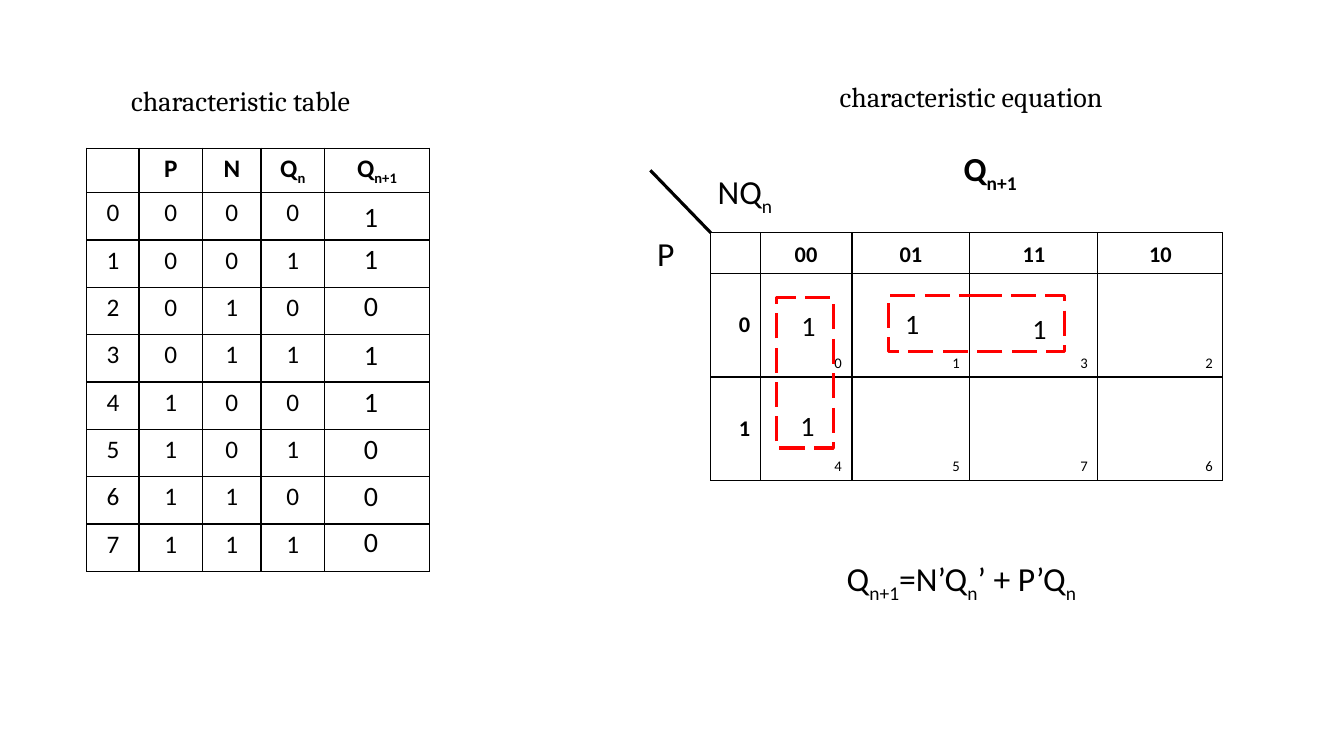
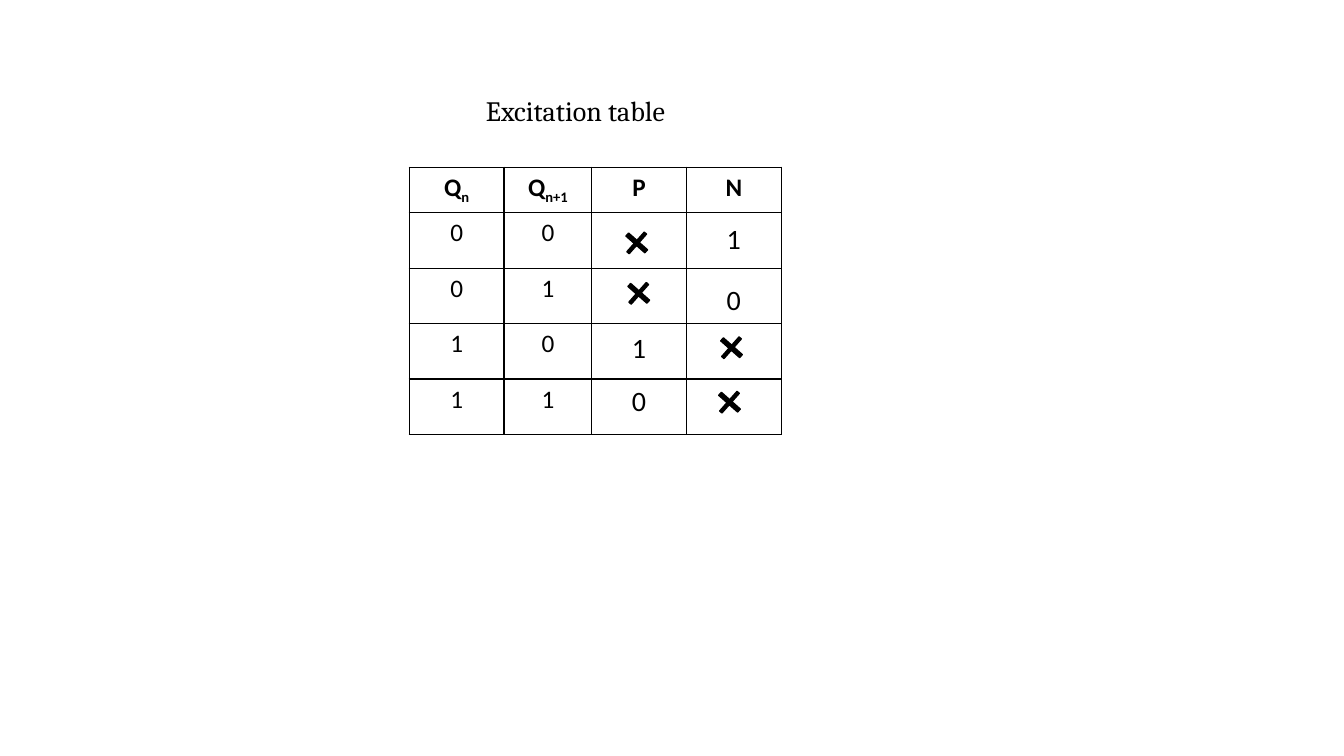
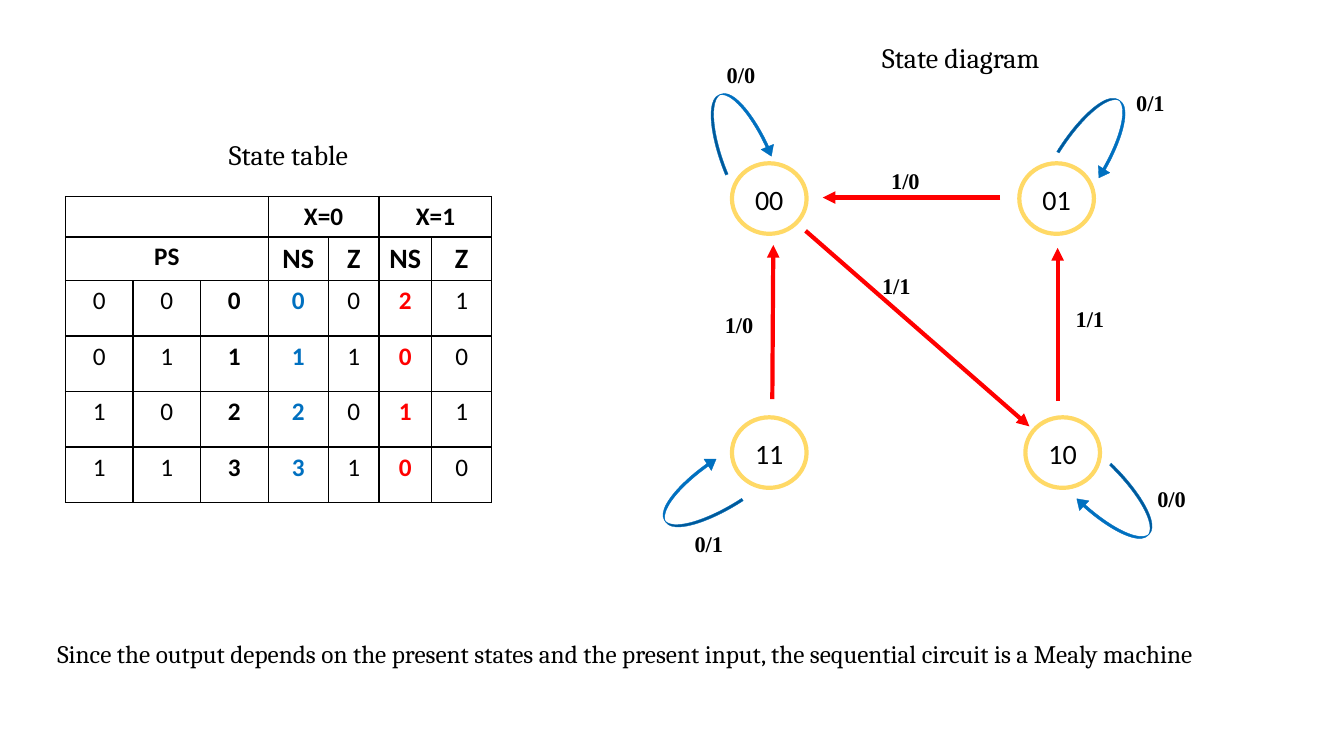
from lxml import etree
from pptx import Presentation
from pptx import util as u
from pptx.dml.color import RGBColor
from pptx.enum import dml, shapes, text
from pptx.oxml import ns

COLORS = {"ink": "000000", "red": "FF0000", "blue": "0070C0", "gold": "FFD966"}
UNIT = u.Inches(0.1)  # grid module: 75 rows, 133.33 columns
AL = text.PP_ALIGN
ANC = text.MSO_ANCHOR

FONTS = {
    "caption": {"name": "Cambria", "size": u.Pt(20), "bold": False},
    "note": {"name": "Cambria", "size": u.Pt(18), "bold": False},
    "digit": {"name": "Calibri", "size": u.Pt(20)},
    "axis": {"name": "Calibri", "size": u.Pt(24)},
    "heading": {"name": "Calibri", "size": u.Pt(24), "bold": True},
    "cell": {"name": "Calibri", "size": u.Pt(18), "bold": False},
    "cell head": {"name": "Calibri", "size": u.Pt(18), "bold": True},
    "cell subhead": {"name": "Calibri", "size": u.Pt(20), "bold": True},
    "map head": {"name": "Calibri", "size": u.Pt(16), "bold": True},
    "map index": {"name": "Calibri", "size": u.Pt(10.5), "bold": False},
    "edge": {"name": "Times New Roman", "size": u.Pt(16), "bold": True},
}
PARAGRAPHS = {
    "caption": {"alignment": AL.JUSTIFY},
    "note": {"alignment": AL.JUSTIFY},
    "edge": {"alignment": AL.JUSTIFY, "line_spacing": 1.07, "space_after": u.Pt(8)},
    "state": {"alignment": AL.CENTER, "line_spacing": 1.07, "space_after": u.Pt(8)},
}


def rgb(name):
    return RGBColor.from_string(COLORS[name])


def assign(obj, values):
    for key, value in values.items():
        setattr(obj, key, value)


def grid(*lengths):
    return [u.Emu(round(n * UNIT)) for n in lengths]


class Deck:
    def __init__(self):
        self.prs = Presentation()
        self.prs.slide_width, self.prs.slide_height = u.Inches(13.33), u.Inches(7.5)
        self.s = None

    def slide(self, title, box):
        self.s = self.prs.slides.add_slide(self.prs.slide_layouts[5])
        sp = self.s.shapes.title
        assign(sp, dict(zip(("left", "top", "width", "height"), grid(*box))))
        self.fill_frame(sp.text_frame, title, "caption")

    def add_runs(self, p, words, style, color="ink"):
        """Add runs to p; every second part between underscores is a subscript."""
        for i, part in enumerate(words.split("_")):
            if part:
                r = p.add_run()
                r.text = part
                assign(r.font, FONTS[style])
                r.font.color.rgb = rgb(color)
                if i % 2:
                    r._r.get_or_add_rPr().set("baseline", "-25000")

    def fill_frame(self, tf, words, style):
        assign(tf, {"word_wrap": True, "vertical_anchor": ANC.TOP,
                    "auto_size": text.MSO_AUTO_SIZE.SHAPE_TO_FIT_TEXT})
        p = tf.paragraphs[0]
        assign(p, PARAGRAPHS.get(style, {}))
        self.add_runs(p, words, style)

    def text(self, words, box, style="digit"):
        sp = self.s.shapes.add_textbox(*grid(*box))
        self.fill_frame(sp.text_frame, words, style)

    def shape(self, kind, box, line, width, fill=None, rotation=0, adjust=(), dash=None):
        sp = self.s.shapes.add_shape(kind, *grid(*box))
        sp.shadow.inherit = False
        sp.rotation = rotation
        for i, value in enumerate(adjust):
            sp.adjustments[i] = value
        if fill:
            sp.fill.solid()
            sp.fill.fore_color.rgb = rgb(fill)
        else:
            sp.fill.background()
        sp.line.color.rgb = rgb(line)
        assign(sp.line, {"width": u.Pt(width), "dash_style": dash})
        return sp

    def group_box(self, box, rotation):
        self.shape(shapes.MSO_SHAPE.RECTANGLE, box, "red", 2.25, rotation=rotation,
                   dash=dml.MSO_LINE.LONG_DASH)

    def cross(self, left, top):
        self.shape(shapes.MSO_SHAPE.CROSS, (left, top, 2.5, 2.6), "ink", 1, "ink", 41.5, [0.44])

    def state(self, name, left, top):
        sp = self.shape(shapes.MSO_SHAPE.OVAL, (left, top, 7.4, 7), "gold", 3)
        sp.text_frame.vertical_anchor = ANC.MIDDLE
        p = sp.text_frame.paragraphs[0]
        assign(p, PARAGRAPHS["state"])
        self.add_runs(p, name, "digit")

    def loop(self, left, top, rotation):
        self.shape(shapes.MSO_SHAPE.CURVED_DOWN_ARROW, (left, top, 5.6, 7.6), "blue", 0.25,
                   "blue", rotation, [0.05, 0.24, 0.18])

    def line(self, ends, color="ink", width=2.25, arrow=False):
        c = self.s.shapes.add_connector(shapes.MSO_CONNECTOR.STRAIGHT, *grid(*ends))
        c.line.color.rgb = rgb(color)
        c.line.width = u.Pt(width)
        if arrow:
            etree.SubElement(c.line._get_or_add_ln(), ns.qn("a:tailEnd"), type="triangle")
        etree.SubElement(c._element.spPr, ns.qn("a:effectLst"))

    def edge_label(self, words, left, top):
        self.text(words, (left, top, 6, 3.7), "edge")
        pPr = self.s.shapes[-1].text_frame.paragraphs[0]._p.get_or_add_pPr()
        pPr.set("marL", str(u.Inches(0.3)))
        pPr.set("indent", str(-u.Inches(0.3)))

    def table(self, left, top, cols, rows, cells, look, merges=()):
        """look(row, column) gives font style, colour, alignment and anchor."""
        frame = self.s.shapes.add_table(len(rows), len(cols),
                                        *grid(left, top, sum(cols), sum(rows)))
        t = frame.table
        assign(t, {"first_row": False, "horz_banding": False})
        for col, width in zip(t.columns, grid(*cols)):
            col.width = width
        for row, height in zip(t.rows, grid(*rows)):
            row.height = height
        for i, row in enumerate(cells):
            for j, words in enumerate(row):
                cell = t.cell(i, j)
                style, color, align, anchor = look(i, j)
                self.border(cell)
                cell.fill.background()
                cell.vertical_anchor = anchor
                p = cell.text_frame.paragraphs[0]
                p.alignment = align
                self.add_runs(p, words, style, color)
        for row, first, last in merges:
            t.cell(row, first).merge(t.cell(row, last))

    def border(self, cell):
        tcPr = cell._tc.get_or_add_tcPr()
        for side in ("lnL", "lnR", "lnT", "lnB"):
            ln = etree.SubElement(tcPr, ns.qn("a:" + side), w=str(u.Pt(1)))
            fill = etree.SubElement(ln, ns.qn("a:solidFill"))
            etree.SubElement(fill, ns.qn("a:srgbClr"), val=COLORS["ink"])


def truth_look(i, j):
    return "cell" if i else "cell head", "ink", AL.CENTER, ANC.TOP


def map_look(i, j):
    if i == 0:
        return "map head", "ink", AL.CENTER, ANC.BOTTOM
    if j == 0:
        return "map head", "ink", AL.RIGHT, ANC.MIDDLE
    return "map index", "ink", AL.RIGHT, ANC.BOTTOM


def state_look(i, j):
    if i < 2:
        style = "cell subhead" if i and j > 2 else "cell head"
    else:
        style = "cell head" if j in (2, 3, 5) else "cell"
    color = {3: "blue", 5: "red"}.get(j, "ink") if i > 1 else "ink"
    return style, color, AL.CENTER, ANC.TOP


def characteristic_slide(d):
    d.slide("characteristic table", (12, 7.8, 24.9, 4.4))
    counts = [[str(n), *f"{n:03b}", ""] for n in range(8)]
    d.table(8.6, 14.7, [5.2, 6.3, 5.8, 6.3, 10.4], [4.4] + [4.7] * 8,
            [["", "P", "N", "Q_n", "Q_n+1"]] + counts, truth_look)
    tops = (19.3, 23.5, 28.1, 33, 37.7, 42.3, 47, 51.5)
    for bit, top in zip("11011000", tops):
        d.text(bit, (35.1, top, 3, 4.4))

    d.text("characteristic equation", (82.3, 7.4, 29.4, 4.4), "caption")
    d.table(70.5, 23.1, [4.9, 9.1, 11.7, 12.7, 12.4], [3.9, 10.3, 10.3],
            [["", "00", "01", "11", "10"], list("00132"), list("14576")], map_look)
    d.text("P", (64.2, 22.6, 4.2, 5), "axis")
    d.text("NQ_n", (70.2, 16.5, 8.3, 5), "axis")
    d.text("Q_n+1", (94.6, 14.2, 9.7, 5), "heading")
    d.line((70.5, 23.1, 64.5, 16.9))
    d.group_box((72.4, 34.2, 14.9, 5.6), 90)
    d.group_box((88.1, 29.3, 17.5, 5.6), 180)
    for left, top in ((88.8, 29.9), (78.4, 40), (78.5, 30.1), (101.4, 30.4)):
        d.text("1", (left, top, 4.5, 4.4))
    d.text("Q_n+1_=N’Q_n_’ + P’Q_n", (83, 54.9, 30.7, 5), "axis")


def excitation_slide(d):
    d.slide("Excitation table", (47.2, 8.8, 20.6, 4.4))
    d.table(40.6, 16.6, [9.4, 8.7, 9.4, 9.4], [4.5] + [5.5] * 4,
            [["Q_n", "Q_n+1", "P", "N"]] + [[*f"{n:02b}", "", ""] for n in range(4)], truth_look)
    for bit, left, top in (("0", 61.7, 37.6), ("1", 71.1, 21.5),
                           ("1", 61.7, 32.3), ("0", 71.1, 27.5)):
        d.text(bit, (left, top, 3, 4.4))
    for left, top in ((61.9, 22.8), (62.1, 27.8), (71.3, 33.2), (71.1, 38.6)):
        d.cross(left, top)


def state_slide(d):
    d.slide("State table", (21.7, 13.1, 17.3, 4.4))
    d.table(6.5, 19.5, [6.7, 6.7, 6.7, 6, 5, 5.2, 6], [3.8, 4.2] + [5.5] * 4,
            [["", "", "", "X=0", "", "X=1", ""], ["PS", "", "", "NS", "Z", "NS", "Z"],
             *map(list, ("0000021", "0111100", "1022011", "1133100"))],
            state_look, [(0, 0, 2), (0, 3, 4), (0, 5, 6), (1, 0, 2)])

    d.text("State diagram", (86.5, 3.5, 18.8, 4.4), "caption")
    for name, left, top in (("00", 72.6, 16.2), ("01", 101.1, 16.2),
                            ("11", 72.6, 41.4), ("10", 101.7, 41.4)):
        d.state(name, left, top)
    for ends in ((99.2, 19.6, 81.6, 19.6), (104.9, 39.8, 104.9, 24.6),
                 (79.9, 22.9, 102.1, 42.3), (76.6, 39.6, 76.7, 24.3)):
        d.line(ends, "red", 3, arrow=True)
    for left, top, rotation in ((70.3, 9, 337.6), (106.4, 9.5, 32),
                                (66.2, 45.6, 236.9), (108.2, 46.8, 134.1)):
        d.loop(left, top, rotation)
    for words, left, top in (("1/0", 87.4, 15.9), ("0/1", 111.7, 8.2), ("1/1", 86.5, 26.3),
                             ("0/1", 67.9, 51.9), ("0/0", 71.1, 5.4), ("1/1", 105.7, 29.6),
                             ("0/0", 113.8, 47.5), ("1/0", 70.9, 30.2)):
        d.edge_label(words, left, top)
    d.text("Since the output depends on the present states and the present input, "
           "the sequential circuit is a Mealy machine", (4.7, 62.8, 119.8, 4), "note")


def main():
    d = Deck()
    for build in (characteristic_slide, excitation_slide, state_slide):
        build(d)
    d.prs.save("out.pptx")


if __name__ == "__main__":
    main()
